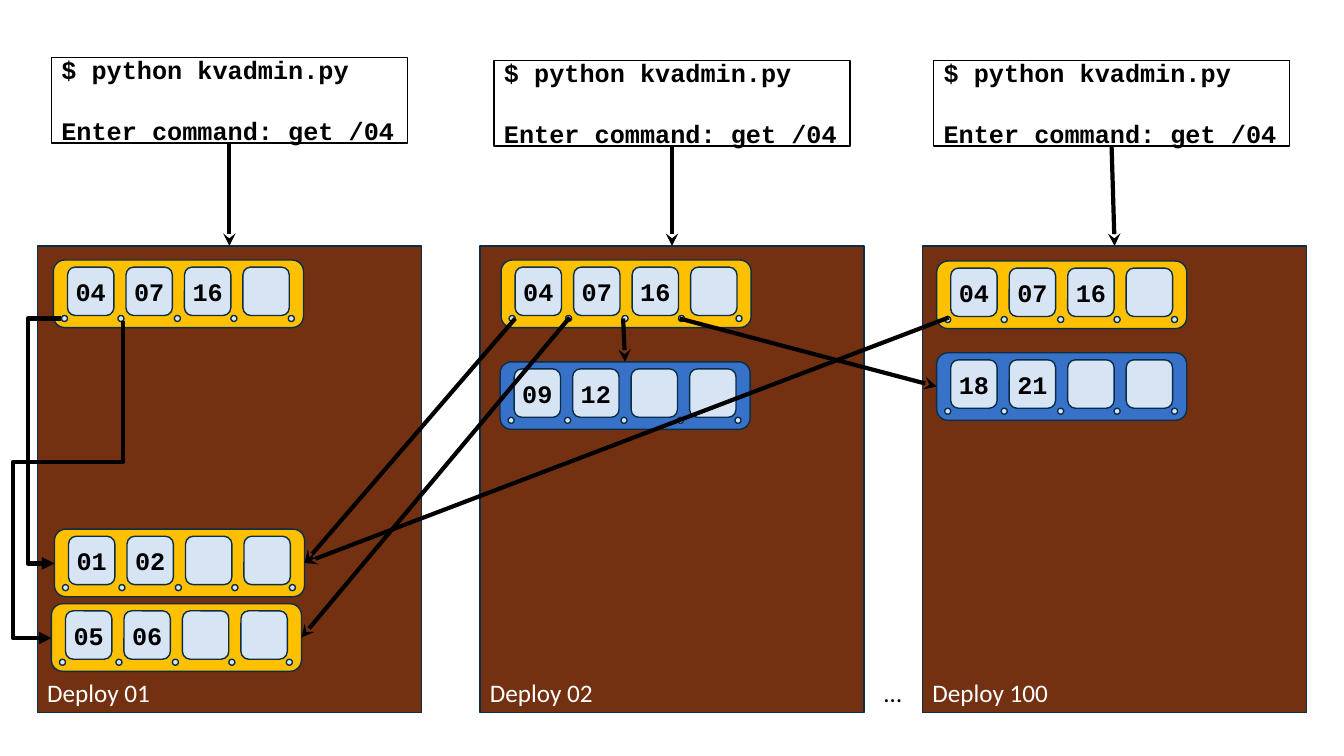
from lxml.etree import SubElement
from pptx import Presentation
from pptx.dml.color import RGBColor
from pptx.enum.shapes import MSO_CONNECTOR, MSO_SHAPE
from pptx.enum.text import MSO_ANCHOR, MSO_AUTO_SIZE, PP_ALIGN
from pptx.oxml.ns import qn
from pptx.util import Pt

PX = 9144
RECT, ROUND, OVAL = MSO_SHAPE.RECTANGLE, MSO_SHAPE.ROUNDED_RECTANGLE, MSO_SHAPE.OVAL
STRAIGHT, ELBOW = MSO_CONNECTOR.STRAIGHT, MSO_CONNECTOR.ELBOW
MIDDLE, BOTTOM = MSO_ANCHOR.MIDDLE, MSO_ANCHOR.BOTTOM
LEFT, CENTER = PP_ALIGN.LEFT, PP_ALIGN.CENTER
GROW = MSO_AUTO_SIZE.SHAPE_TO_FIT_TEXT
SANS, MONO = "Calibri", "Courier New"
TOP_SIDE, LEFT_SIDE, BOTTOM_SIDE, RIGHT_SIDE = range(4)
COLORS = {
    "brown": "733111", "gold": "FFC000", "blue": "3771C8", "cell": "D7E4F4",
    "dot": "D7E5F5", "edge": "0A2E48", "black": "000000", "white": "FFFFFF",
}


def color(name):
    """Return the named colour."""
    return RGBColor.from_string(COLORS[name])


def scale(*sizes):
    """Turn px lengths into EMU."""
    return [size * PX for size in sizes]


def add_box(shapes, kind, box, fill, edge="edge"):
    """Add a filled shape with a thin outline."""
    shape = shapes.add_shape(kind, *scale(*box))
    shape.shadow.inherit = False
    shape.fill.solid()
    shape.fill.fore_color.rgb = color(fill)
    shape.line.color.rgb = color(edge)
    shape.line.width = Pt(1)
    return shape


def write(shape, text, font, ink, align=LEFT, anchor=MIDDLE):
    """Fill a shape with text and format its runs."""
    frame = shape.text_frame
    frame.text = text
    frame.vertical_anchor = anchor
    for para in frame.paragraphs:
        para.alignment = align
        for run in para.runs:
            run.font.name = font
            run.font.size = Pt(18)
            run.font.bold = font == MONO
            run.font.color.rgb = color(ink)


def add_panel(slide, x, label):
    """Add a deployment panel with its label at the bottom."""
    panel = add_box(slide.shapes, RECT, (x, 244, 381, 463), "brown")
    write(panel, label, SANS, "white", anchor=BOTTOM)
    return panel


def add_node(slide, x, y, fill, keys):
    """Add a tree node of four cells and five dots; return body and dots."""
    shapes = slide.shapes.add_group_shape().shapes
    body = add_box(shapes, ROUND, (x, y, 248, 67), fill)
    for i in range(4):
        cell = add_box(shapes, ROUND, (x + 14 + 58 * i, y + 7, 46, 48), "cell")
        if i < len(keys):
            write(cell, keys[i], MONO, "black", CENTER)
            cell.text_frame.margin_left = cell.text_frame.margin_right = 0
    dots = [add_box(shapes, OVAL, (x + 8 + 225 * i // 4, y + 55, 6, 6), "dot")
            for i in range(5)]
    return body, dots


def add_prompt(slide, x, y):
    """Add a command prompt box."""
    prompt = add_box(slide.shapes, RECT, (x, y, 353, 85), "white", "black")
    write(prompt, "$ python kvadmin.py\nEnter command: get /04", MONO, "black")
    prompt.text_frame.paragraphs[1].space_before = Pt(22)
    return prompt


def style(link, head):
    """Give a connector its thick black line and arrowhead."""
    link.line.color.rgb = color("black")
    link.line.width = Pt(3)
    props = link._element.spPr
    SubElement(props.find(qn("a:ln")), qn("a:tailEnd"), type=head)
    SubElement(props, qn("a:effectLst"))


def add_arrow(slide, start, goal, side):
    """Add a straight arrow from a point to a side of a shape."""
    link = slide.shapes.add_connector(STRAIGHT, *scale(*start, *start))
    link.end_connect(goal, side)
    style(link, "stealth")
    return link


def add_bend(slide, dot, site, goal, box, turn, form, bends):
    """Add a bent arrow from a dot to the left side of a node."""
    link = slide.shapes.add_connector(ELBOW, 0, 0, 0, 0)
    link.begin_connect(dot, BOTTOM_SIDE)
    link.end_connect(goal, LEFT_SIDE)
    link._element.xpath(".//a:stCxn")[0].set("idx", str(site))
    link.left, link.top, link.width, link.height = scale(*box)
    frame = link._element.spPr.find(qn("a:xfrm"))
    frame.attrib.clear()
    frame.attrib.update(turn)
    geom = link._element.spPr.find(qn("a:prstGeom"))
    geom.set("prst", form)
    for i, bend in enumerate(bends, 1):
        SubElement(geom.find(qn("a:avLst")), qn("a:gd"),
                   name=f"adj{i}", fmla=f"val {bend}")
    style(link, "triangle")


def add_dots(slide):
    """Add the ellipsis between the panels."""
    label = slide.shapes.add_textbox(*scale(867, 667, 38, 40))
    write(label, "…", SANS, "black", anchor=MSO_ANCHOR.TOP)
    label.text_frame.word_wrap = False
    label.text_frame.auto_size = GROW


def main():
    """Build the slide and save it."""
    deck = Presentation()
    deck.slide_width, deck.slide_height = scale(1333, 750)
    slide = deck.slides.add_slide(deck.slide_layouts[6])

    labels = ("Deploy 01", "Deploy 02", "Deploy 100")
    panels = [add_panel(slide, 37 + 439 * i, label)
              for i, label in enumerate(labels)]
    add_dots(slide)

    root = ("04", "07", "16")
    dots = add_node(slide, 53, 258, "gold", root)[1]
    add_node(slide, 497, 258, "gold", root)
    add_node(slide, 929, 259, "gold", root)
    first = add_node(slide, 54, 525, "gold", ("01", "02"))[0]
    second = add_node(slide, 51, 599, "gold", ("05", "06"))[0]
    third = add_node(slide, 496, 359, "blue", ("09", "12"))[0]
    fourth = add_node(slide, 929, 350, "blue", ("18", "21"))[0]

    for start, goal, side in (
        ((511, 316), first, RIGHT_SIDE),
        ((565, 315), second, RIGHT_SIDE),
        ((618, 316), third, TOP_SIDE),
        ((674, 316), fourth, LEFT_SIDE),
        ((941, 315), first, RIGHT_SIDE),
    ):
        add_arrow(slide, start, goal, side)

    add_bend(slide, dots[0], 2, first, (54, 316, 7, 243),
             {"rot": "10800000", "flipV": "1"}, "bentConnector3", (478100,))
    add_bend(slide, dots[1], 5, second, (-71, 440, 315, 71),
             {"rot": "5400000"}, "bentConnector4", (44500, 153700))

    for (x, y), panel in zip(((51, 57), (490, 60), (926, 60)), panels):
        prompt = add_prompt(slide, x, y)
        link = add_arrow(slide, (x, y), panel, TOP_SIDE)
        link.begin_connect(prompt, BOTTOM_SIDE)

    deck.save("out.pptx")


if __name__ == "__main__":
    main()
